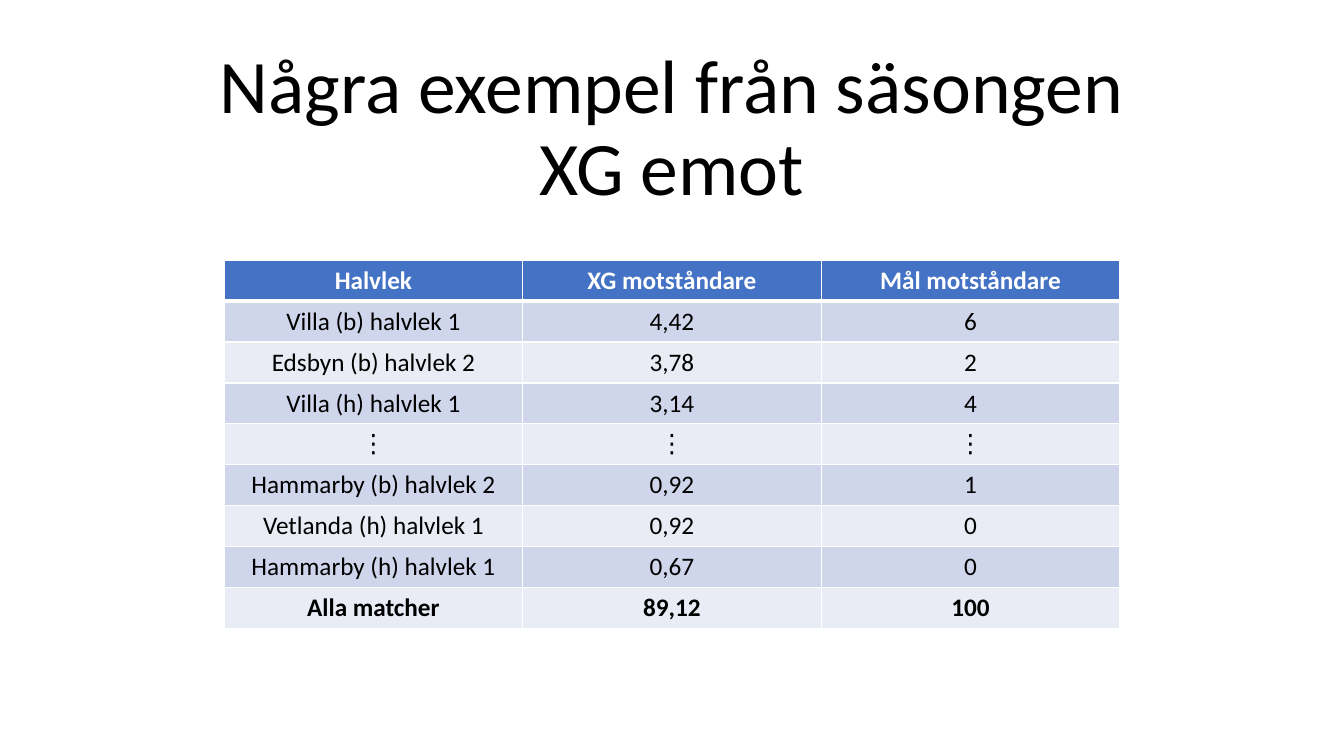
from dataclasses import dataclass

from lxml import etree
from pptx import Presentation
from pptx.dml.color import RGBColor
from pptx.enum.text import MSO_ANCHOR, PP_ALIGN
from pptx.oxml.ns import qn
from pptx.util import Cm, Pt


@dataclass(frozen=True)
class Theme:
    font: str = "Calibri"
    title_size: int = 54
    table_size: int = 18
    text: str = "000000"
    header_text: str = "FFFFFF"
    header_fill: str = "4472C4"
    bands: tuple = ("CFD5EA", "E9EBF5")
    border: str = "FFFFFF"
    border_width: int = 1
    header_border_width: int = 3


THEME = Theme()

TITLE = "Några exempel från säsongen\vXG emot"
ROWS = [
    ("Halvlek", "XG motståndare", "Mål motståndare"),
    ("Villa (b) halvlek 1", "4,42", "6"),
    ("Edsbyn (b) halvlek 2", "3,78", "2"),
    ("Villa (h) halvlek 1", "3,14", "4"),
    ("⋮", "⋮", "⋮"),
    ("Hammarby (b) halvlek 2", "0,92", "1"),
    ("Vetlanda (h) halvlek 1", "0,92", "0"),
    ("Hammarby (h) halvlek 1", "0,67", "0"),
    ("Alla matcher", "89,12", "100"),
]


def write_centred(frame, text, size, color, bold=False):
    paragraph = frame.paragraphs[0]
    paragraph.text = text
    paragraph.alignment = PP_ALIGN.CENTER
    for run in paragraph.runs:
        run.font.name = THEME.font
        run.font.size = Pt(size)
        run.font.bold = bold
        run.font.color.rgb = RGBColor.from_string(color)
    return paragraph


def set_borders(cell, top, bottom):
    properties = cell._tc.get_or_add_tcPr()
    widths = {"L": THEME.border_width, "R": THEME.border_width, "T": top, "B": bottom}
    for position, (side, width) in enumerate(widths.items()):
        line = etree.Element(qn(f"a:ln{side}"), w=str(Pt(width)))
        fill = etree.SubElement(line, qn("a:solidFill"))
        etree.SubElement(fill, qn("a:srgbClr"), val=THEME.border)
        properties.insert(position, line)


def add_title(slide, left, top, width, height):
    frame = slide.shapes.add_textbox(left, top, width, height).text_frame
    frame.word_wrap = True
    frame.vertical_anchor = MSO_ANCHOR.BOTTOM
    paragraph = write_centred(frame, TITLE, THEME.title_size, THEME.text)
    paragraph.line_spacing = 0.9


def add_results_table(slide, left, top, width, height):
    table = slide.shapes.add_table(
        len(ROWS), len(ROWS[0]), left, top, width, height
    ).table
    last = len(ROWS) - 1
    for r, values in enumerate(ROWS):
        is_header = r == 0
        fill = THEME.header_fill if is_header else THEME.bands[(r - 1) % 2]
        color = THEME.header_text if is_header else THEME.text
        top_width = THEME.header_border_width if r == 1 else THEME.border_width
        bottom_width = THEME.header_border_width if is_header else THEME.border_width
        for c, value in enumerate(values):
            cell = table.cell(r, c)
            cell.fill.solid()
            cell.fill.fore_color.rgb = RGBColor.from_string(fill)
            set_borders(cell, top_width, bottom_width)
            write_centred(
                cell.text_frame, value, THEME.table_size, color, r in (0, last)
            )


def main():
    presentation = Presentation()
    presentation.slide_width = Cm(33.87)
    presentation.slide_height = Cm(19.05)
    slide = presentation.slides.add_slide(presentation.slide_layouts[6])
    add_title(slide, Cm(4.23), Cm(1), Cm(25.4), Cm(4.46))
    add_results_table(slide, Cm(5.65), Cm(6.56), Cm(22.57), Cm(9.27))
    presentation.save("out.pptx")


main()
